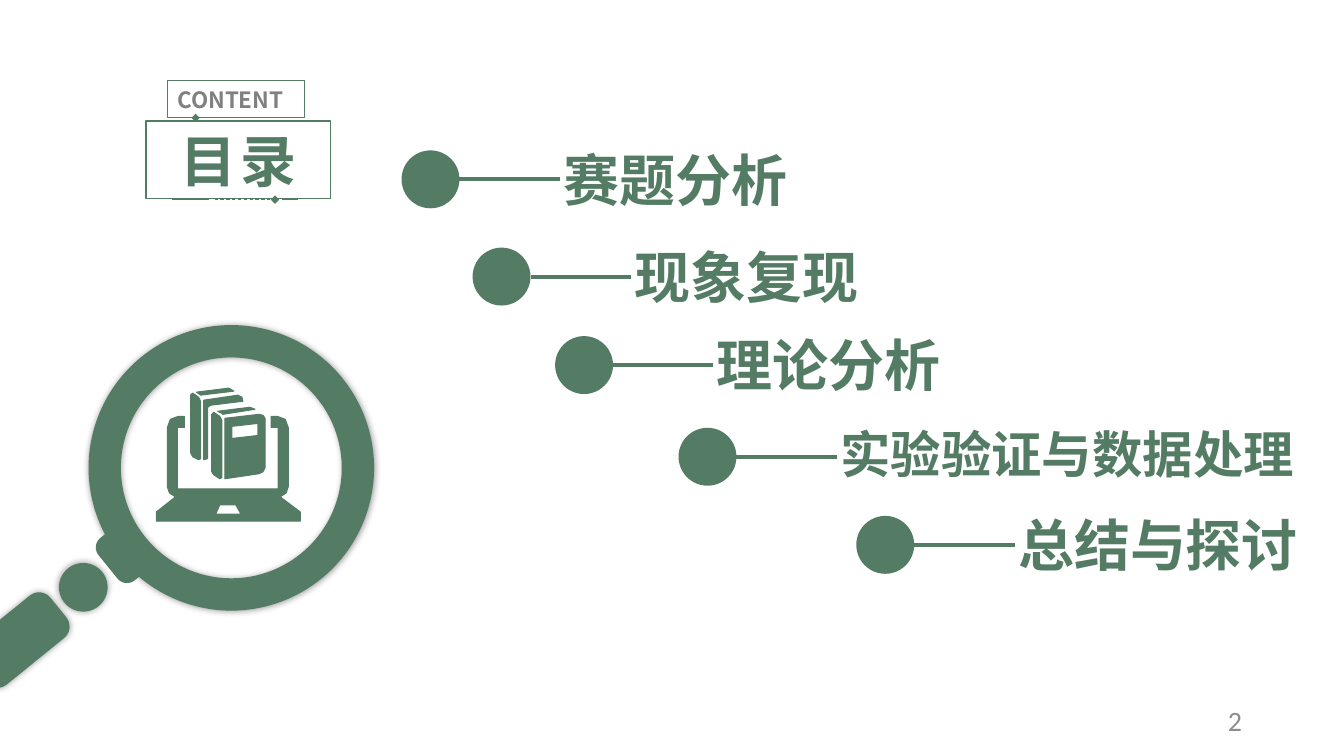
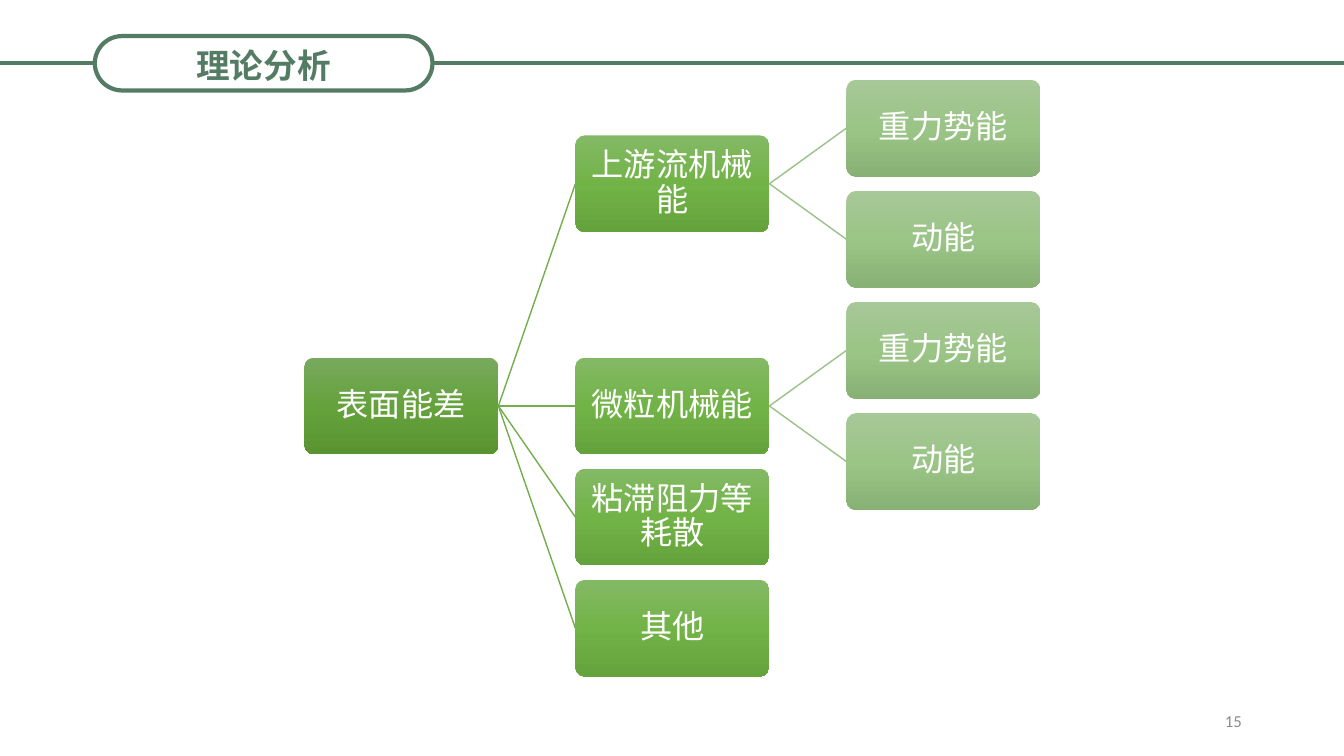
import lxml.etree
import pptx
import pptx.dml.color
import pptx.enum.dml
import pptx.enum.shapes
import pptx.enum.text
import pptx.oxml.ns
import pptx.util

Cm = pptx.util.Cm
Pt = pptx.util.Pt
qn = pptx.oxml.ns.qn
SHAPES = pptx.enum.shapes.MSO_SHAPE
ALIGN = pptx.enum.text.PP_ALIGN
ANCHOR = pptx.enum.text.MSO_ANCHOR

# Shared style; all lengths are in centimetres
SLIDE_WIDTH, SLIDE_HEIGHT = 33.87, 19.05
GREEN, GRAY, NUMBER_GRAY, WHITE = "547C64", "808080", "8C8C8C", "FFFFFF"
CJK_FONT, NUMBER_FONT = "Noto Sans CJK SC", "Calibri"
TEXT_INSETS = (0.25, 0.13, 0.25, 0.13)

# Contents slide: text, dot left, dot top, text size
CHAPTERS = [
    ("赛题分析", 10.12, 3.79, 40),
    ("现象复现", 11.91, 6.24, 40),
    ("理论分析", 13.99, 8.47, 40),
    ("实验验证与数据处理", 17.1, 10.78, 36),
    ("总结与探讨", 21.58, 13, 40),
]
DOT_SIZE, CHAPTER_LINE = 1.46, 2.53

# Broken rule above the heading; the one below is its mirror image
RULE_PARTS = [(7.52, 6.58, False), (6.45, 4.93, True), (4.75, 4.34, False)]
RULE_TOP, RULE_BOTTOM, RULE_CENTER = 2.97, 5.03, 5.93

# Magnifier parts: centre x, centre y, width, height
LENS = (5.83, 11.79, 7.09, 7.09)
HANDLE = (0.46, 16.13, 2.5, 1.27)
COLLAR = (3.16, 13.93, 1.02, 1.27)
JOINT = (2.1, 14.8, 1.12, 1.12)
HANDLE_ANGLE = -39

# Outlines of the books and laptop on a grid 143 units wide
ICON_LEFT, ICON_TOP, ICON_WIDTH, ICON_UNITS = 3.94, 9.78, 3.63, 143
ICON_OUTLINES = [
    [(63, 116), (79, 116), (84, 125), (59, 125)],
    [(40, 4), (44, 7), (77, 3), (72, 0)],
    [(36, 5), (42, 9), (44, 13), (44, 70), (42, 71), (36, 68), (34, 64), (34, 7)],
    [(61, 23), (65, 25), (66, 26), (98, 21), (93, 19)],
    [(57, 24), (63, 28), (65, 32), (65, 89), (63, 90), (57, 86), (55, 83), (55, 26)],
    [(68, 30), (102, 26), (106, 27), (108, 30), (108, 79), (106, 83), (102, 85), (68, 90)],
    [(75, 38), (101, 35), (101, 47), (75, 50)],
    [(47, 12), (81, 7), (85, 9), (86, 13), (54, 17), (51, 19), (51, 70), (47, 71)],
    [(21, 39), (28, 39), (28, 28), (22, 28), (14, 31), (11, 39), (11, 98), (13, 104),
     (19, 108), (0, 123), (0, 132), (143, 132), (143, 123), (123, 108), (129, 104),
     (131, 98), (131, 39), (128, 31), (120, 28), (114, 28), (114, 39), (121, 39),
     (121, 100), (21, 100)],
]

# Energy tree: text, row, children
ENERGY_TREE = ("表面能差", 2.5, [
    ("上游流机械能", 0.5, [("重力势能", 0, []), ("动能", 1, [])]),
    ("微粒机械能", 2.5, [("重力势能", 2, []), ("动能", 3, [])]),
    ("粘滞阻力等耗散", 3.5, []),
    ("其他", 4.5, []),
])
TREE_LEFT, TREE_TOP, COLUMN_STEP, ROW_STEP = 7.67, 2.01, 6.83, 2.8
NODE_WIDTH, NODE_HEIGHT = 4.89, 2.44
LEVEL_GRADIENTS = [
    ("78A95E", "65A23C", "599431"),
    ("83B965", "72B347", "64A33B"),
    ("A7C897", "9BC487", "88B175"),
]
BRANCH_COLORS = ["73AE4C", "9BC18A"]


def color(hex_text):
    return pptx.dml.color.RGBColor.from_string(hex_text)


def write_text(shape, text, size, text_color, font=CJK_FONT, bold=False,
               align=ALIGN.LEFT, anchor=ANCHOR.TOP, insets=TEXT_INSETS, wrap=False):
    frame = shape.text_frame
    frame.text = text
    frame.word_wrap = wrap
    frame.vertical_anchor = anchor
    (frame.margin_left, frame.margin_top,
     frame.margin_right, frame.margin_bottom) = map(Cm, insets)
    paragraph = frame.paragraphs[0]
    paragraph.alignment = align
    run = paragraph.runs[0]
    run.font.size = Pt(size)
    run.font.bold = bold
    run.font.color.rgb = color(text_color)
    run.font.name = font
    east_asian = lxml.etree.SubElement(run.font._element, qn("a:ea"))
    east_asian.set("typeface", font)
    return paragraph


def style_shape(shape, fill=None, line=None, line_width=0.75):
    shape.shadow.inherit = False
    if fill:
        shape.fill.solid()
        shape.fill.fore_color.rgb = color(fill)
    else:
        shape.fill.background()
    if line:
        shape.line.color.rgb = color(line)
        shape.line.width = Pt(line_width)
    else:
        shape.line.fill.background()


def add_shape(slide, kind, left, top, width, height, **style):
    shape = slide.shapes.add_shape(kind, Cm(left), Cm(top), Cm(width), Cm(height))
    style_shape(shape, **style)
    return shape


def add_centered_shape(slide, kind, center_x, center_y, width, height, **style):
    return add_shape(slide, kind, center_x - width / 2, center_y - height / 2,
                     width, height, **style)


def add_line(slide, start, end, line_color=GREEN, line_width=3):
    connector = slide.shapes.add_connector(
        pptx.enum.shapes.MSO_CONNECTOR.STRAIGHT, *map(Cm, (*start, *end)))
    connector.line.color.rgb = color(line_color)
    connector.line.width = Pt(line_width)
    lxml.etree.SubElement(connector._element.spPr, qn("a:effectLst"))
    return connector


def add_soft_shadow(shape):
    effects = shape._element.spPr.find(qn("a:effectLst"))
    shadow = lxml.etree.SubElement(effects, qn("a:outerShdw"), blurRad=str(int(Pt(5))), dist="0")
    black = lxml.etree.SubElement(shadow, qn("a:srgbClr"), val="000000")
    lxml.etree.SubElement(black, qn("a:alpha"), val="40000")


def fill_gradient(shape, stops):
    """Fill from top to bottom with evenly spaced colours."""
    gradient = lxml.etree.Element(qn("a:gradFill"))
    stop_list = lxml.etree.SubElement(gradient, qn("a:gsLst"))
    for index, stop_color in enumerate(stops):
        position = 100000 * index // (len(stops) - 1)
        stop = lxml.etree.SubElement(stop_list, qn("a:gs"), pos=str(position))
        lxml.etree.SubElement(stop, qn("a:srgbClr"), val=stop_color)
    lxml.etree.SubElement(gradient, qn("a:lin"), ang="5400000", scaled="0")
    properties = shape._element.spPr
    properties.replace(properties.find(qn("a:noFill")), gradient)


def add_slide(presentation):
    return presentation.slides.add_slide(presentation.slide_layouts[6])


def add_page_number(slide, number, size):
    box = slide.shapes.add_textbox(Cm(23.93), Cm(17.65), Cm(7.62), Cm(1.02))
    write_text(box, number, size, NUMBER_GRAY, font=NUMBER_FONT,
               align=ALIGN.RIGHT, anchor=ANCHOR.MIDDLE, wrap=True)


def add_broken_rule(slide, y, mirrored):
    for start, end, has_diamond in RULE_PARTS:
        if mirrored:
            start, end = 2 * RULE_CENTER - start, 2 * RULE_CENTER - end
        part = add_line(slide, (start, y), (end, y), line_width=0.6)
        if has_diamond:
            part.line.dash_style = pptx.enum.dml.MSO_LINE.DASH
            outline = part._element.spPr.find(qn("a:ln"))
            lxml.etree.SubElement(outline, qn("a:tailEnd"), type="diamond")


def add_heading(slide):
    add_broken_rule(slide, RULE_TOP, mirrored=False)
    heading = add_shape(slide, SHAPES.RECTANGLE, 3.68, 3.05, 4.65, 1.96, line=GREEN)
    paragraph = write_text(heading, "目录", 40, GREEN, bold=True, align=ALIGN.CENTER)
    paragraph.runs[0].font._element.set("spc", "300")
    add_broken_rule(slide, RULE_BOTTOM, mirrored=True)
    label = add_shape(slide, SHAPES.RECTANGLE, 4.22, 2.03, 3.45, 0.94, line=GREEN)
    write_text(label, "CONTENT", 16, GRAY, bold=True, align=ALIGN.JUSTIFY, wrap=True)


def add_magnifier(slide):
    solid = {"fill": GREEN, "line": GREEN, "line_width": 3}
    lens = add_centered_shape(slide, SHAPES.DONUT, *LENS, **solid)
    lens.adjustments[0] = 0.1
    collar = add_centered_shape(slide, SHAPES.ROUNDED_RECTANGLE, *COLLAR, **solid)
    handle = add_centered_shape(slide, SHAPES.ROUNDED_RECTANGLE, *HANDLE, **solid)
    joint = add_centered_shape(slide, SHAPES.OVAL, *JOINT, **solid)
    for bar in (collar, handle):
        bar.rotation = HANDLE_ANGLE
        bar.adjustments[0] = 0.25
    for part in (lens, handle, joint):
        add_soft_shadow(part)


def add_library_icon(slide):
    first, *others = ICON_OUTLINES
    builder = slide.shapes.build_freeform(*first[0], scale=Cm(ICON_WIDTH) / ICON_UNITS)
    builder.add_line_segments(first[1:])
    for outline in others:
        builder.move_to(*outline[0])
        builder.add_line_segments(outline[1:])
    icon = builder.convert_to_shape(Cm(ICON_LEFT), Cm(ICON_TOP))
    style_shape(icon, fill=GREEN, line=GREEN)


def add_chapter(slide, text, left, top, size):
    add_shape(slide, SHAPES.OVAL, left, top, DOT_SIZE, DOT_SIZE, fill=GREEN)
    line_left, line_y = left + DOT_SIZE, top + DOT_SIZE / 2
    add_line(slide, (line_left, line_y), (line_left + CHAPTER_LINE, line_y))
    box = slide.shapes.add_textbox(Cm(left + 3.83), Cm(top - 0.26),
                                   Pt(size * len(text)) + Cm(0.6), Cm(1.96))
    write_text(box, text, size, GREEN, bold=True)


def add_title_band(slide, title):
    left, top, width, height, line_y = 2.39, 0.91, 8.51, 1.37, 1.59
    add_line(slide, (left + width, line_y), (SLIDE_WIDTH, line_y))
    add_line(slide, (0, line_y), (left, line_y))
    pill = add_shape(slide, SHAPES.ROUNDED_RECTANGLE, left, top, width, height,
                     line=GREEN, line_width=3)
    pill.adjustments[0] = 0.5
    write_text(pill, title, 24, GREEN, bold=True, align=ALIGN.CENTER,
               anchor=ANCHOR.MIDDLE, insets=(0, 0.1, 0, 0))


def add_tree(slide, node, level=0, parent_end=None):
    """Draw a node, the branch from its parent and all its descendants."""
    text, row, children = node
    left = TREE_LEFT + level * COLUMN_STEP
    top = TREE_TOP + row * ROW_STEP
    middle = top + NODE_HEIGHT / 2
    if parent_end:
        add_line(slide, parent_end, (left, middle), BRANCH_COLORS[level - 1], 1)
    box = add_shape(slide, SHAPES.ROUNDED_RECTANGLE, left, top, NODE_WIDTH, NODE_HEIGHT)
    box.adjustments[0] = 0.1
    fill_gradient(box, LEVEL_GRADIENTS[level])
    paragraph = write_text(box, text, 23, WHITE, align=ALIGN.CENTER,
                           anchor=ANCHOR.MIDDLE, insets=(0.05,) * 4, wrap=True)
    paragraph.line_spacing = 0.9
    for child in children:
        add_tree(slide, child, level + 1, (left + NODE_WIDTH, middle))


def build_contents_slide(presentation):
    slide = add_slide(presentation)
    add_heading(slide)
    add_magnifier(slide)
    add_library_icon(slide)
    for chapter in CHAPTERS:
        add_chapter(slide, *chapter)
    add_page_number(slide, "2", 20)


def build_theory_slide(presentation):
    slide = add_slide(presentation)
    add_title_band(slide, "理论分析")
    add_tree(slide, ENERGY_TREE)
    add_page_number(slide, "15", 12)


def main():
    presentation = pptx.Presentation()
    presentation.slide_width = Cm(SLIDE_WIDTH)
    presentation.slide_height = Cm(SLIDE_HEIGHT)
    build_contents_slide(presentation)
    build_theory_slide(presentation)
    presentation.save("out.pptx")


if __name__ == "__main__":
    main()
